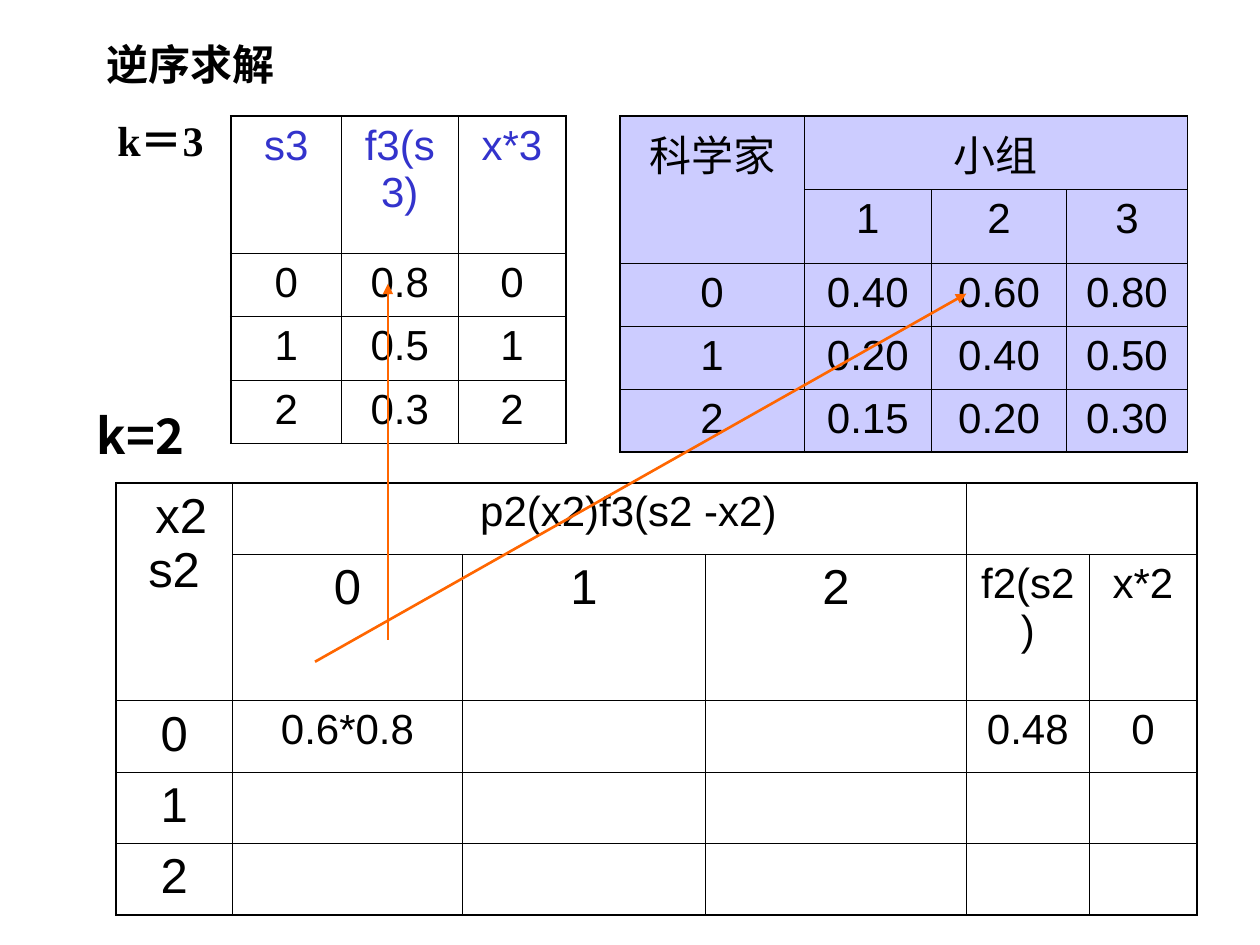
from lxml.etree import SubElement
from pptx import Presentation
from pptx.dml.color import RGBColor
from pptx.enum.shapes import MSO_CONNECTOR
from pptx.enum.text import MSO_ANCHOR, MSO_AUTO_SIZE, PP_ALIGN
from pptx.oxml.ns import qn
from pptx.util import Cm, Pt

# Content; None marks a cell covered by a merged neighbour
BLACK, BLUE, LILAC, ORANGE = "000000", "3333CC", "CCCCFF", "FF6600"
HEADING = ["逆序求解", "k＝3"]
STAGE_LABEL = "k=2"

STAGE_3 = {
    "at": (4.65, 2.34),
    "columns": [2.24, 2.34, 2.18],
    "rows": [2.77, 1.27, 1.29, 1.27],
    "cells": [
        ["s3", "f3(s3)", "x*3"],
        ["0", "0.8", "0"],
        ["1", "0.5", "1"],
        ["2", "0.3", "2"],
    ],
    "header_color": BLUE,
}
STAGE_2 = {
    "at": (2.34, 9.73),
    "columns": [2.34, 4.65, 4.88, 5.28, 2.46, 2.18],
    "rows": [1.44, 2.95, 1.44, 1.44, 1.44],
    "cells": [
        ["x2 s2", "p2(x2)f3(s2 -x2)", None, None, "", None],
        [None, "0", "1", "2", "f2(s2)", "x*2"],
        ["0", "0.6*0.8", "", "", "0.48", "0"],
        ["1", "", "", "", "", ""],
        ["2", "", "", "", "", ""],
    ],
    "spans": {(0, 0): (2, 1), (0, 1): (1, 3), (0, 4): (1, 2)},
    "large": {(row, 0) for row in range(5)} | {(1, column) for column in (1, 2, 3)},
    "indents": {(0, 0): {"indent": Pt(8)}, (0, 1): {"marL": Pt(33)}},
}
FAILURE_ODDS = {
    "at": (12.5, 2.34),
    "columns": [3.71, 2.57, 2.72, 2.44],
    "rows": [1.32, 1.28, 1.27, 1.27, 1.27],
    "cells": [
        ["科学家", "小组", None, None],
        [None, "1", "2", "3"],
        ["0", "0.40", "0.60", "0.80"],
        ["1", "0.20", "0.40", "0.50"],
        ["2", "0.15", "0.20", "0.30"],
    ],
    "spans": {(0, 0): (2, 1), (0, 1): (1, 3)},
    "fill": LILAC,
}
ARROWS = [((6.35, 13.34), (19.48, 5.92)), ((7.82, 12.9), (7.82, 5.72))]

OUTER, INNER = Pt(1.08), Pt(0.45)
CJK_FONT = "Noto Sans CJK SC"


def rgb(color):
    return RGBColor.from_string(color)


def apply(target, formats):
    for name, value in formats.items():
        setattr(target, name, value)


def write(paragraph, text, size, font, color=BLACK, bold=False, indents=None, **formats):
    apply(paragraph, formats)
    for name, value in (indents or {}).items():
        paragraph._p.get_or_add_pPr().set(name, str(int(value)))
    run = paragraph.add_run()
    run.text = text
    apply(run.font, {"size": Pt(size), "name": font, "bold": bold})
    run.font.color.rgb = rgb(color)
    SubElement(run._r.get_or_add_rPr(), qn("a:ea"), typeface=CJK_FONT)


def add_borders(cell, widths):
    properties = cell._tc.get_or_add_tcPr()
    for side, width in widths.items():
        line = SubElement(properties, qn(f"a:ln{side}"), w=str(int(width)))
        SubElement(SubElement(line, qn("a:solidFill")), qn("a:srgbClr"), val=BLACK)


def add_grid(slide, spec):
    columns, rows = spec["columns"], spec["rows"]
    row_total, column_total = len(rows), len(columns)
    box = [Cm(value) for value in (*spec["at"], sum(columns), sum(rows))]
    grid = slide.shapes.add_table(row_total, column_total, *box).table
    apply(grid, {"first_row": False, "horz_banding": False})
    for column, width in zip(grid.columns, columns):
        column.width = Cm(width)
    for row, height in zip(grid.rows, rows):
        row.height = Cm(height)

    spans = spec.get("spans", {})
    for (r, c), (down, across) in spans.items():
        grid.cell(r, c).merge(grid.cell(r + down - 1, c + across - 1))

    for r, texts in enumerate(spec["cells"]):
        for c, text in enumerate(texts):
            cell = grid.cell(r, c)
            if text is not None:
                down, across = spans.get((r, c), (1, 1))
                on_edge = {"L": c == 0, "R": c + across == column_total,
                           "T": r == 0, "B": r + down == row_total}
                add_borders(cell, {side: OUTER if edge else INNER
                                   for side, edge in on_edge.items()})
            if "fill" in spec:
                cell.fill.solid()
                cell.fill.fore_color.rgb = rgb(spec["fill"])
            else:
                cell.fill.background()
            if text:
                write(cell.text_frame.paragraphs[0], text,
                      28 if (r, c) in spec.get("large", ()) else 24,
                      "Arial" if text.isascii() else "Times New Roman",
                      spec.get("header_color", BLACK) if r == 0 else BLACK,
                      indents=spec.get("indents", {}).get((r, c)),
                      alignment=PP_ALIGN.CENTER)


def add_arrow(slide, start, end):
    arrow = slide.shapes.add_connector(
        MSO_CONNECTOR.STRAIGHT, *[Cm(value) for value in (*start, *end)])
    arrow.line.color.rgb = rgb(ORANGE)
    arrow.line.width = Pt(1.5)
    SubElement(arrow.line._get_or_add_ln(), qn("a:tailEnd"), type="triangle")
    SubElement(arrow._element.spPr, qn("a:effectLst"))


def main():
    deck = Presentation()
    apply(deck, {"slide_width": Cm(25.4), "slide_height": Cm(19.05)})
    slide = deck.slides.add_slide(deck.slide_layouts[5])
    frame_formats = {"word_wrap": True, "auto_size": MSO_AUTO_SIZE.NONE,
                     "vertical_anchor": MSO_ANCHOR.TOP}

    # Heading
    title = slide.shapes.title
    apply(title, {"left": Cm(1.9), "top": Cm(0.64), "width": Cm(22.66), "height": Cm(2.82)})
    frame = title.text_frame
    apply(frame, frame_formats)
    for i, text in enumerate(HEADING):
        paragraph = frame.add_paragraph() if i else frame.paragraphs[0]
        write(paragraph, text, 24, "Times New Roman", bold=True,
              indents={"marL": Pt(6 * i)},
              alignment=PP_ALIGN.LEFT, space_before=Pt(15 * i))

    # Tables and the second stage label
    add_grid(slide, STAGE_3)
    label = slide.shapes.add_textbox(Cm(1.7), Cm(8.05), Cm(10.8), Cm(1.45)).text_frame
    apply(label, frame_formats)
    write(label.paragraphs[0], STAGE_LABEL, 28, CJK_FONT, bold=True)
    add_grid(slide, STAGE_2)
    add_grid(slide, FAILURE_ODDS)

    # Arrows from the product to its two factors
    for start, end in ARROWS:
        add_arrow(slide, start, end)

    deck.save("out.pptx")


if __name__ == "__main__":
    main()
